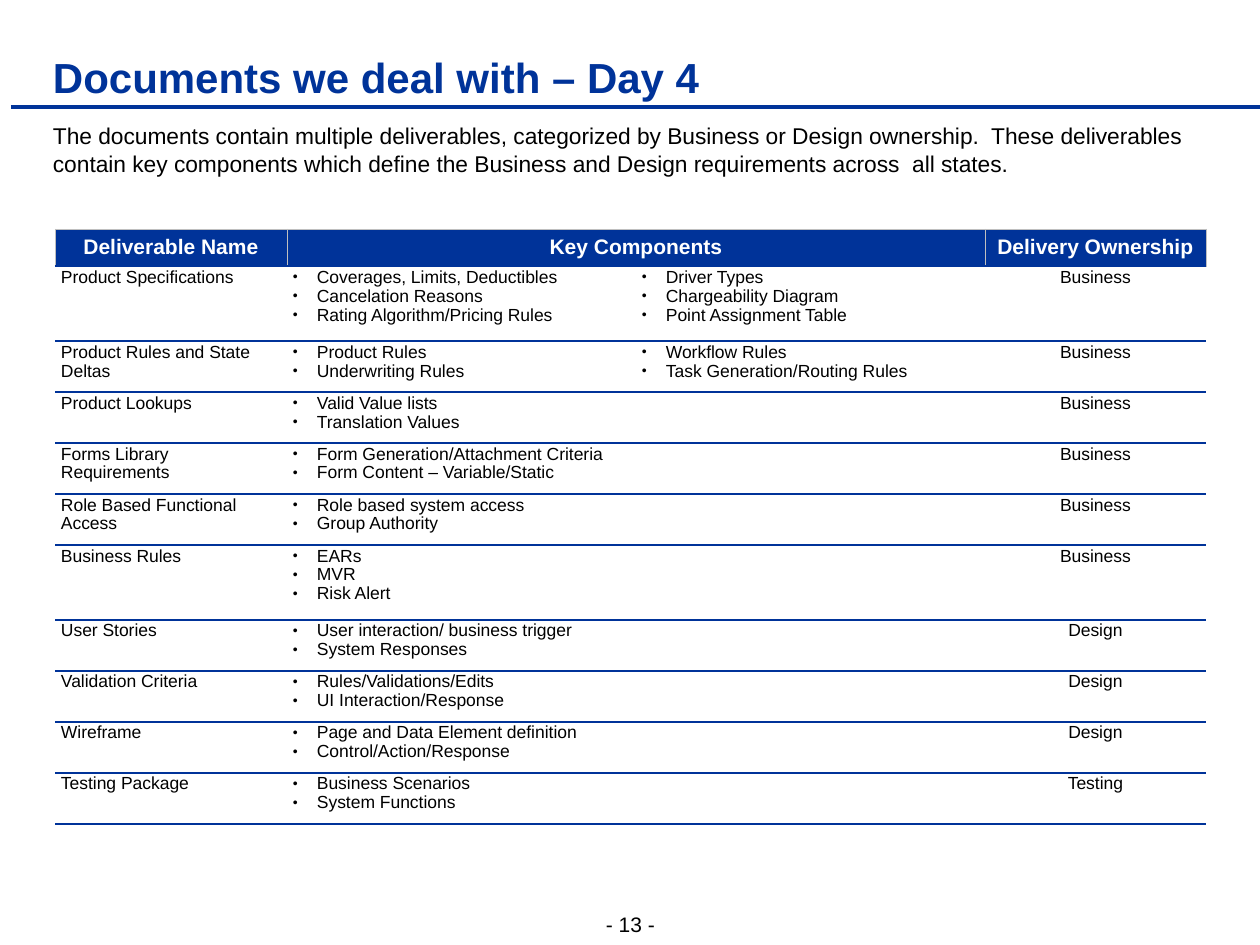
from pptx import Presentation
from pptx.dml.color import RGBColor
from pptx.enum.shapes import MSO_CONNECTOR as Link, MSO_SHAPE as Shape
from pptx.enum.text import MSO_ANCHOR as Anchor, PP_ALIGN as Align
from pptx.oxml.ns import qn
from pptx.util import Pt
from lxml.etree import SubElement as Sub, Element

PX = 914400 // 126
NAVY = RGBColor(0x00, 0x33, 0x99)
GREY = RGBColor(0xBF, 0xBF, 0xBF)
BLACK = RGBColor(0x00, 0x00, 0x00)
WHITE = RGBColor(0xFF, 0xFF, 0xFF)
FONT = "Arial"

TITLE = "Documents we deal with – Day 4"
INTRO = (
    "The documents contain multiple deliverables, categorized by Business or "
    "Design ownership.  These deliverables contain key components which define "
    "the Business and Design requirements across  all states."
)
HEADS = ["Deliverable Name", "Key Components", "", "Delivery Ownership"]
ROWS = [
    ("Product Specifications",
     ["Coverages, Limits, Deductibles", "Cancelation Reasons", "Rating Algorithm/Pricing Rules"],
     ["Driver Types", "Chargeability Diagram", "Point Assignment Table"], "Business"),
    ("Product Rules and State Deltas", ["Product Rules", "Underwriting Rules"],
     ["Workflow Rules", "Task Generation/Routing Rules"], "Business"),
    ("Product Lookups", ["Valid Value lists", "Translation Values"], [], "Business"),
    ("Forms Library Requirements",
     ["Form Generation/Attachment Criteria", "Form Content – Variable/Static"], [], "Business"),
    ("Role Based Functional Access",
     ["Role based system access", "Group Authority"], [], "Business"),
    ("Business Rules", ["EARs", "MVR", "Risk Alert"], [], "Business"),
    ("User Stories", ["User interaction/ business trigger", "System Responses"], [], "Design"),
    ("Validation Criteria", ["Rules/Validations/Edits", "UI Interaction/Response"], [], "Design"),
    ("Wireframe", ["Page and Data Element definition", "Control/Action/Response"], [], "Design"),
    ("Testing Package", ["Business Scenarios", "System Functions"], [], "Testing"),
]
COLS = [232, 349, 349, 221]
HEAD_H, TALL_H, ROW_H = 37, 75, 51


def style(frame, size, color=BLACK, bold=False, align=Align.LEFT, space=1.0):
    """Format every paragraph and run of a text frame."""
    for para in frame.paragraphs:
        para.alignment = align
        para.line_spacing = space
        for run in para.runs:
            font = run.font
            font.name, font.size, font.bold = FONT, Pt(size), bold
            font.color.rgb = color


def inset(item, side, top):
    """Set the inner margins of a text frame or cell."""
    item.margin_left = item.margin_right = side * PX
    item.margin_top = item.margin_bottom = top * PX


def label(slide, box, text, anchor, wrap=True):
    """Add a text box and return its frame."""
    frame = slide.shapes.add_textbox(*(n * PX for n in box)).text_frame
    inset(frame, 0, 0)
    frame.word_wrap, frame.vertical_anchor = wrap, anchor
    frame.text = text
    return frame


def header(slide, box):
    """Place the title and the rule beneath it."""
    left, top, width, height = box
    frame = label(slide, (left, top, width, height - 5), TITLE, Anchor.BOTTOM)
    style(frame, 24, NAVY, True)
    low = (top + height) * PX
    rule = slide.shapes.add_connector(Link.STRAIGHT, (left - 42) * PX, low, 1260 * PX, low)
    rule.line.color.rgb, rule.line.width = NAVY, Pt(2)
    Sub(rule._element.spPr, qn("a:effectLst"))


def intro(slide, box):
    """Place the opening paragraph on a white panel."""
    panel = slide.shapes.add_shape(Shape.RECTANGLE, *(n * PX for n in box))
    panel.shadow.inherit = False
    panel.fill.solid()
    panel.fill.fore_color.rgb = WHITE
    panel.line.fill.background()
    frame = panel.text_frame
    inset(frame, 0, 0)
    frame.word_wrap, frame.vertical_anchor = True, Anchor.TOP
    frame.text = INTRO
    style(frame, 13, space=1.05)


def edge(cell, sides):
    """Draw the four cell borders, leaving out sides that are not given."""
    props = cell._tc.get_or_add_tcPr()
    for spot, side in enumerate("LRTB"):
        line = Element(qn("a:ln" + side))
        if side in sides:
            color, width = sides[side]
            line.set("w", str(Pt(width)))
            Sub(Sub(line, qn("a:solidFill")), qn("a:srgbClr"), val=str(color))
        else:
            Sub(line, qn("a:noFill"))
        props.insert(spot, line)


def bullet(para):
    """Give a paragraph a hanging bullet."""
    props = para._p.get_or_add_pPr()
    props.set("marL", str(24 * PX))
    props.set("indent", str(-24 * PX))
    Sub(Sub(props, qn("a:buClr")), qn("a:srgbClr"), val=str(BLACK))
    Sub(props, qn("a:buSzPct"), val="80000")
    Sub(props, qn("a:buFont"), typeface=FONT)
    Sub(props, qn("a:buChar"), char="•")


def head(cell, text):
    """Fill one heading cell."""
    inset(cell, 1, 1)
    cell.vertical_anchor = Anchor.MIDDLE
    cell.fill.solid()
    cell.fill.fore_color.rgb = NAVY
    thin = (GREY, 0.25)
    edge(cell, {"L": thin, "R": thin, "T": thin, "B": (NAVY, 1)})
    if text:
        cell.text = text
        style(cell.text_frame, 12, WHITE, True, Align.CENTER)


def entry(cell, item, align):
    """Fill one body cell with plain text or a bulleted list."""
    inset(cell, 6, 2)
    cell.fill.background()
    edge(cell, {"T": (NAVY, 1), "B": (NAVY, 1)})
    listed = isinstance(item, list)
    cell.text = "\n".join(item) if listed else item
    if listed and item:
        for para in cell.text_frame.paragraphs:
            bullet(para)
    style(cell.text_frame, 10, align=align, space=0.97)


def grid(slide, left, top):
    """Place the table of deliverables."""
    highs = [HEAD_H] + [TALL_H if len(row[1]) > 2 else ROW_H for row in ROWS]
    table = slide.shapes.add_table(
        len(highs), len(COLS), left * PX, top * PX, sum(COLS) * PX, sum(highs) * PX
    ).table
    table.first_row = table.horz_banding = False
    for col, width in zip(table.columns, COLS):
        col.width = width * PX
    for row, high in zip(table.rows, highs):
        row.height = high * PX
    table.cell(0, 1).merge(table.cell(0, 2))
    for c, text in enumerate(HEADS):
        head(table.cell(0, c), text)
    for r, row in enumerate(ROWS, 1):
        for c, item in enumerate(row):
            entry(table.cell(r, c), item, Align.CENTER if c == 3 else Align.LEFT)


def footer(slide, box):
    """Place the page number."""
    frame = label(slide, box, "- 13 -", Anchor.BOTTOM, False)
    style(frame, 12, align=Align.CENTER)


def main():
    """Build and save the slide."""
    deck = Presentation()
    deck.slide_width, deck.slide_height = 1260 * PX, 945 * PX
    slide = deck.slides.add_slide(deck.slide_layouts[6])
    footer(slide, (605, 911, 51, 26))
    header(slide, (53, 65, 1150, 42))
    grid(slide, 55, 229)
    intro(slide, (53, 120, 1134, 58))
    deck.save("out.pptx")


if __name__ == "__main__":
    main()
